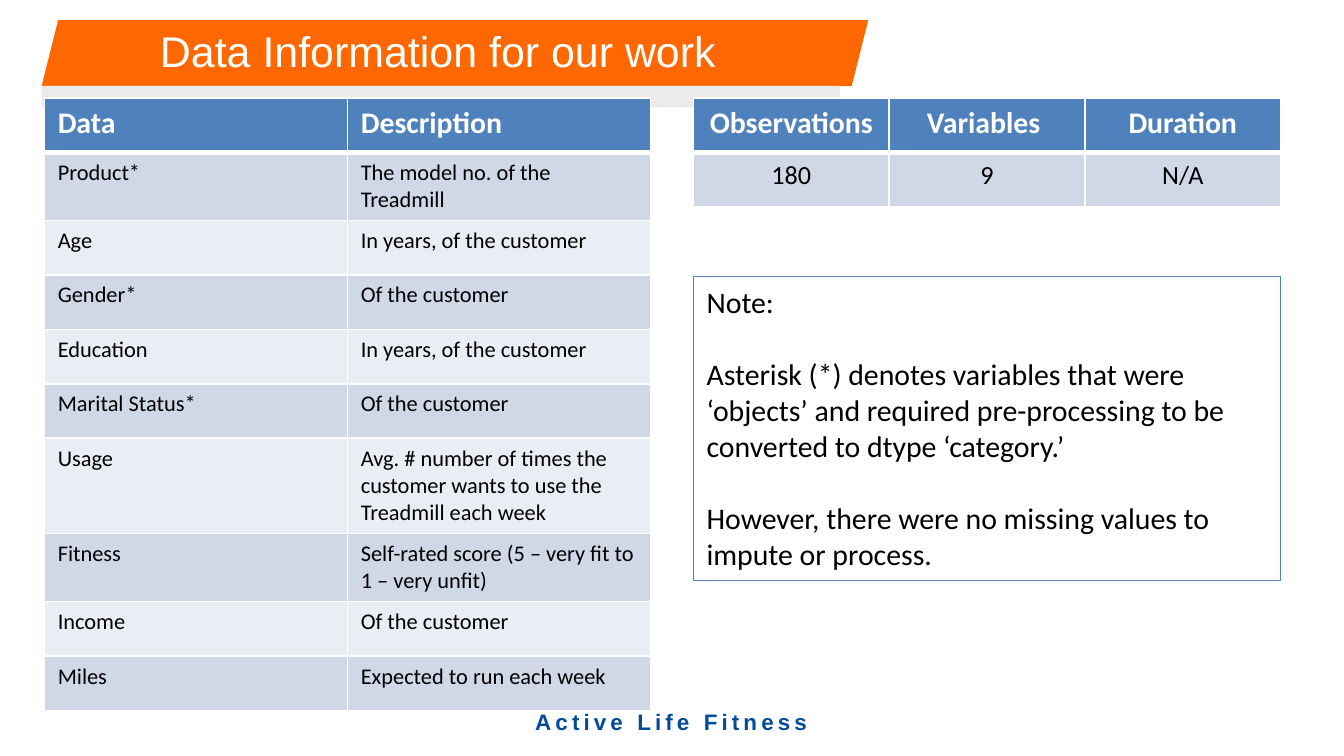
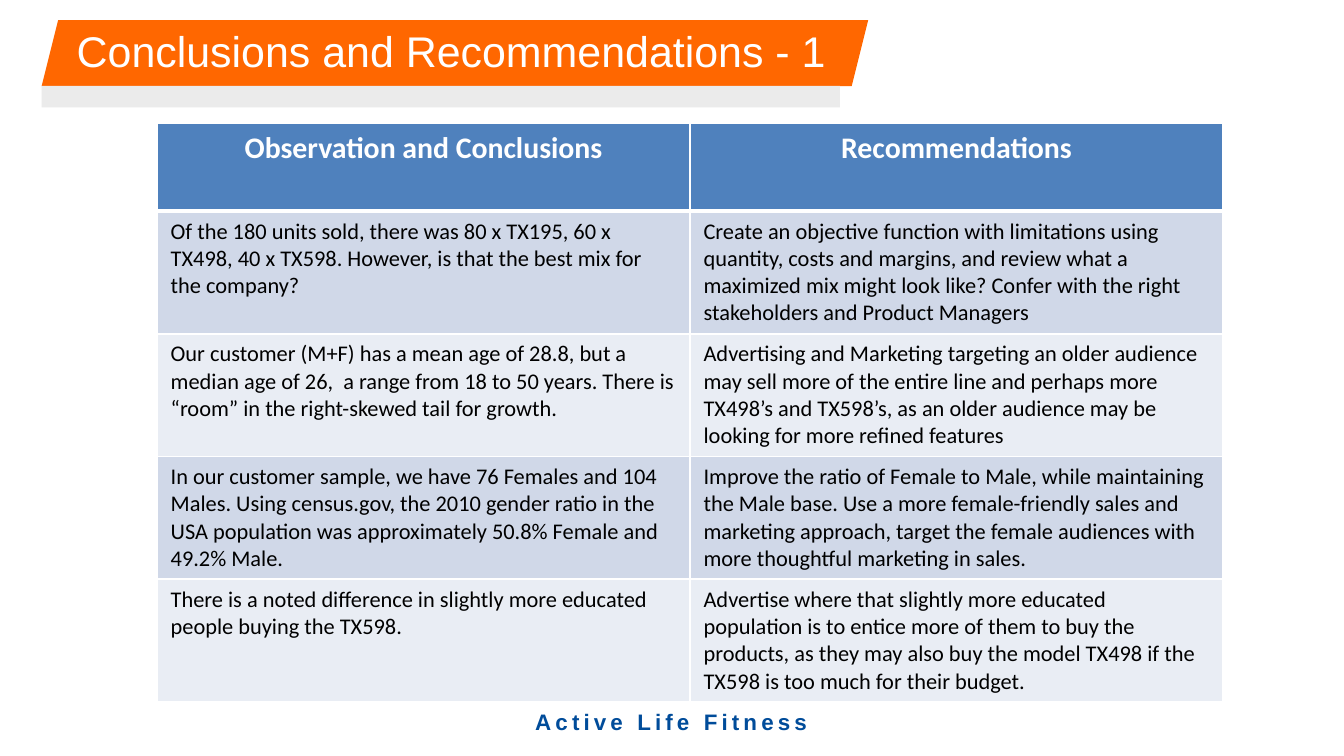
from lxml import etree
from pptx import Presentation
from pptx.dml.color import RGBColor
from pptx.enum.shapes import MSO_SHAPE
from pptx.enum.text import MSO_ANCHOR, PP_ALIGN
from pptx.oxml.ns import qn
from pptx.util import Inches, Pt

LEFT, CENTER = PP_ALIGN.LEFT, PP_ALIGN.CENTER
MIDDLE = MSO_ANCHOR.MIDDLE
PARALLELOGRAM, RECTANGLE = MSO_SHAPE.PARALLELOGRAM, MSO_SHAPE.RECTANGLE

COLORS = {
    "white": "FFFFFF", "black": "000000", "orange": "FF6700", "gray": "EBEBEB",
    "navy": "004C9A", "blue": "4F81BD", "band_dark": "D0D8E8", "band_light": "E9EDF4",
}
FORMATS = {
    "title": {"name": "Arial", "size": Pt(23), "bold": False},
    "footer": {"name": "Arial", "size": Pt(12), "bold": True},
    "header": {"name": "Calibri", "size": Pt(16), "bold": True},
    "cell": {"name": "Calibri", "size": Pt(12), "bold": False},
    "figure": {"name": "Calibri", "size": Pt(14), "bold": False},
    "note": {"name": "Calibri", "size": Pt(16), "bold": False},
}


def write(paragraph, text, style, color, align=LEFT):
    run = paragraph.add_run()
    run.text = text
    paragraph.alignment = align
    for key, value in FORMATS[style].items():
        setattr(run.font, key, value)
    run.font.color.rgb = RGBColor.from_string(COLORS[color])
    return run


def add_grid(slide, box, rows, style="cell", header_align=LEFT, body_align=LEFT):
    left, top, width, height = box
    count = len(rows[0])
    grid = slide.shapes.add_table(len(rows), count, Inches(left), Inches(top),
                                  Inches(width), Inches(height)).table
    for column in grid.columns:
        column.width = Inches(width / count)
    for r, row in enumerate(rows):
        grid.rows[r].height = Inches(height / len(rows))
        for c, text in enumerate(row):
            cell = grid.cell(r, c)
            paragraph = cell.text_frame.paragraphs[0]
            cell.fill.solid()
            if r == 0:
                fill = "blue"
                write(paragraph, text, "header", "white", header_align)
            else:
                fill = "band_dark" if r % 2 else "band_light"
                write(paragraph, text, style, "black", body_align)
            cell.fill.fore_color.rgb = RGBColor.from_string(COLORS[fill])
            # White cell borders, thicker under the header
            points = {"lnL": 1, "lnR": 1, "lnT": 1, "lnB": 3 if r == 0 else 1}
            properties = cell._tc.get_or_add_tcPr()
            for i, (side, weight) in enumerate(points.items()):
                border = etree.Element(qn("a:" + side), w=str(Pt(weight)))
                solid = etree.SubElement(border, qn("a:solidFill"))
                etree.SubElement(solid, qn("a:srgbClr"), val=COLORS["white"])
                properties.insert(i, border)


# 16:9 slide
prs = Presentation()
prs.slide_width, prs.slide_height = Inches(10), Inches(10 * 9 / 16)
layout = prs.slide_layouts[5]

# Slides with their titles: text, width, left margin
titles = [
    ("Data Information for our work", 6.36, 0.72),
    ("Conclusions and Recommendations - 1", 8.62, 0.1),
]
slides = []
for text, width, margin in titles:
    slide = prs.slides.add_slide(layout)
    title = slide.shapes.title
    title.left, title.top = Inches(0.47), Inches(-0.17)
    title.width, title.height = Inches(width), Inches(1.09)
    title.text_frame.margin_left = Inches(margin)
    title.text_frame.vertical_anchor = MIDDLE
    write(title.text_frame.paragraphs[0], text, "title", "white")
    slides.append(slide)
data_slide, conclusions_slide = slides

# Shared title bands and footer, moved to the layout behind the titles
shared = []
bands = [
    (PARALLELOGRAM, 0.15, 6.15, 0.49, "orange"),
    (RECTANGLE, 0.64, 5.94, 0.16, "gray"),
]
for kind, top, width, height, color in bands:
    band = data_slide.shapes.add_shape(kind, Inches(0.31), Inches(top),
                                       Inches(width), Inches(height))
    band.shadow.inherit = False
    band.fill.solid()
    band.fill.fore_color.rgb = RGBColor.from_string(COLORS[color])
    band.line.fill.background()
    shared.append(band)
footer = data_slide.shapes.add_textbox(Inches(3.79), Inches(5.23), Inches(2.41), Inches(0.28))
footer.text_frame.margin_left = footer.text_frame.margin_right = Inches(0.07)
footer.text_frame.margin_top = footer.text_frame.margin_bottom = Inches(0.04)
footer_run = write(footer.text_frame.paragraphs[0], "Active Life Fitness",
                   "footer", "navy", CENTER)
footer_run.font._element.set("spc", "220")
shared.append(footer)
for position, part in enumerate(shared, start=2):
    layout.shapes.element.insert(position, part.element)

# Slide 1: variables
add_grid(data_slide, (0.33, 0.73, 4.51, 4.05), [
    ("Data", "Description"),
    ("Product*", "The model no. of the Treadmill"),
    ("Age", "In years, of the customer"),
    ("Gender*", "Of the customer"),
    ("Education", "In years, of the customer"),
    ("Marital Status*", "Of the customer"),
    ("Usage", "Avg. # number of times the customer wants to use the Treadmill each week"),
    ("Fitness", "Self-rated score (5 – very fit to 1 – very unfit)"),
    ("Income", "Of the customer"),
    ("Miles", "Expected to run each week"),
])

# Slide 1: size of the data
add_grid(data_slide, (5.16, 0.73, 4.37, 0.81), [
    ("Observations", "Variables ", "Duration"),
    ("180", "9", "N/A"),
], "figure", CENTER, CENTER)

# Slide 1: note
note = data_slide.shapes.add_textbox(Inches(5.16), Inches(2.06), Inches(4.37), Inches(2.26))
note.line.color.rgb = RGBColor.from_string(COLORS["blue"])
note.line.width = Pt(0.75)
note.text_frame.word_wrap = True
note_lines = [
    "Note:",
    "Asterisk (*) denotes variables that were ‘objects’ and required pre-processing "
    "to be converted to dtype ‘category.’",
    "However, there were no missing values to impute or process.",
]
for i, text in enumerate(note_lines):
    paragraph = note.text_frame.add_paragraph() if i else note.text_frame.paragraphs[0]
    paragraph.space_before = Pt(19.5 if i else 0)
    write(paragraph, text, "note", "black")

# Slide 2: conclusions
add_grid(conclusions_slide, (1.17, 0.92, 7.93, 3.25), [
    ("Observation and Conclusions", "Recommendations"),
    ("Of the 180 units sold, there was 80 x TX195, 60 x TX498, 40 x TX598. "
     "However, is that the best mix for the company?",
     "Create an objective function with limitations using quantity, costs and margins, "
     "and review what a maximized mix might look like? Confer with the right "
     "stakeholders and Product Managers"),
    ("Our customer (M+F) has a mean age of 28.8, but a median age of 26,  a range from "
     "18 to 50 years. There is “room” in the right-skewed tail for growth.",
     "Advertising and Marketing targeting an older audience may sell more of the entire "
     "line and perhaps more TX498’s and TX598’s, as an older audience may be looking "
     "for more refined features"),
    ("In our customer sample, we have 76 Females and 104 Males. Using census.gov, the 2010 "
     "gender ratio in the USA population was approximately 50.8% Female and 49.2% Male.",
     "Improve the ratio of Female to Male, while maintaining the Male base. Use a more "
     "female-friendly sales and marketing approach, target the female audiences with "
     "more thoughtful marketing in sales."),
    ("There is a noted difference in slightly more educated people buying the TX598.",
     "Advertise where that slightly more educated population is to entice more of them "
     "to buy the products, as they may also buy the model TX498 if the TX598 is too much "
     "for their budget."),
], header_align=CENTER)

prs.save("out.pptx")
